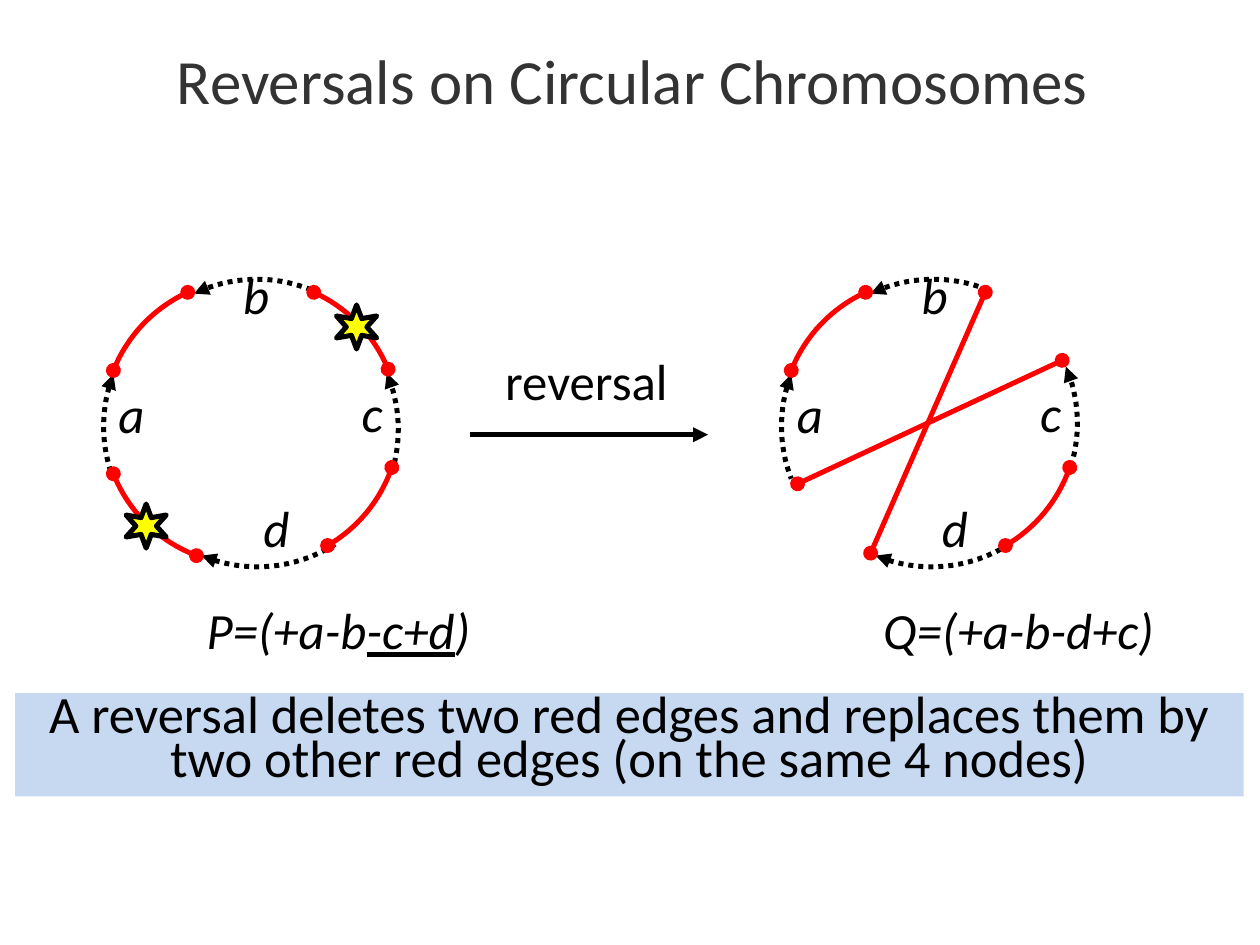
import math

from lxml import etree
from pptx import Presentation
from pptx.dml.color import RGBColor
from pptx.enum.dml import MSO_LINE
from pptx.enum.shapes import MSO_CONNECTOR, MSO_SHAPE
from pptx.enum.text import MSO_ANCHOR, PP_ALIGN
from pptx.oxml.ns import qn
from pptx.util import Inches, Pt

CENTER = PP_ALIGN.CENTER
TOP, MIDDLE = MSO_ANCHOR.TOP, MSO_ANCHOR.MIDDLE
STRAIGHT = MSO_CONNECTOR.STRAIGHT
STAR, RECTANGLE = MSO_SHAPE.STAR_6_POINT, MSO_SHAPE.RECTANGLE
DOTTED = MSO_LINE.ROUND_DOT

COLORS = {
    "title": "333333",
    "black": "000000",
    "red": "FF0000",
    "yellow": "FFFF00",
    "banner": "C6D9F1",
}
RGB = {name: RGBColor.from_string(value) for name, value in COLORS.items()}
ARC_RADIUS = 1.15
ARC_STEPS = 16

presentation = Presentation()
presentation.slide_width = Inches(10)
presentation.slide_height = Inches(7.5)
slide = presentation.slides.add_slide(presentation.slide_layouts[5])
shapes = slide.shapes


def style_line(shape, color, head=None, tail=None, dash=None):
    """Colour an open line, put markers on its ends and drop its shadow."""
    shape.line.color.rgb = RGB[color]
    shape.line.width = Pt(2.85)
    if dash:
        shape.line.dash_style = dash
    properties = shape._element.spPr
    line = properties.find(qn("a:ln"))
    for tag, marker in (("a:headEnd", head), ("a:tailEnd", tail)):
        if marker:
            etree.SubElement(line, qn(tag), type=marker)
    if properties.find(qn("a:effectLst")) is None:
        etree.SubElement(properties, qn("a:effectLst"))


def write(shape, runs, size, spacing, color="black", italic=False):
    """Fill the first paragraph with (text, underlined) runs."""
    paragraph = shape.text_frame.paragraphs[0]
    paragraph.line_spacing = spacing
    for text, underlined in runs:
        run = paragraph.add_run()
        run.text = text
        run.font.name = "Calibri"
        run.font.size = Pt(size)
        run.font.italic = italic
        run.font.color.rgb = RGB[color]
        if underlined:
            run.font.underline = True
    return paragraph


# Title
title = shapes.title
title.left, title.top, title.width, title.height = map(Inches, (0.04, 0, 9.96, 1.25))
frame = title.text_frame
frame.margin_left = frame.margin_right = frame.margin_top = frame.margin_bottom = 0
frame.vertical_anchor = MIDDLE
title_text = [("Reversals on Circular Chromosomes", False)]
write(title, title_text, 36, 1.02, "title").alignment = CENTER

# Arcs of both chromosomes, each running counterclockwise: start, end, kind
arcs = [
    # Chromosome P
    ((0.9, 2.97), (0.9, 3.8), "from"),
    ((2.47, 2.3), (1.54, 2.33), "to"),
    ((3.11, 3.75), (3.07, 2.96), "to"),
    ((1.6, 4.41), (2.66, 4.32), "from"),
    ((3.08, 2.93), (2.49, 2.32), "red"),
    ((1.49, 2.32), (0.9, 2.94), "red"),
    ((0.9, 3.76), (1.56, 4.41), "red"),
    ((2.6, 4.33), (3.11, 3.71), "red"),
    # Chromosome Q
    ((6.28, 2.97), (6.28, 3.8), "from"),
    ((7.84, 2.3), (6.91, 2.33), "to"),
    ((8.5, 3.7), (8.46, 2.91), "to"),
    ((6.95, 4.41), (8.01, 4.32), "from"),
    ((6.87, 2.32), (6.28, 2.94), "red"),
    ((7.98, 4.33), (8.49, 3.71), "red"),
]
arc_styles = {
    "from": ("black", "triangle", None, DOTTED),
    "to": ("black", None, "triangle", DOTTED),
    "red": ("red", "oval", "oval", None),
}
for (x1, y1), (x2, y2), kind in arcs:
    chord = math.hypot(x2 - x1, y2 - y1)
    offset = math.sqrt(ARC_RADIUS ** 2 - (chord / 2) ** 2) / chord
    center_x = (x1 + x2) / 2 + (y2 - y1) * offset
    center_y = (y1 + y2) / 2 - (x2 - x1) * offset
    first = math.atan2(y1 - center_y, x1 - center_x)
    sweep = -2 * math.asin(chord / 2 / ARC_RADIUS)
    angles = [first + sweep * step / ARC_STEPS for step in range(ARC_STEPS + 1)]
    points = [
        (Inches(center_x + ARC_RADIUS * math.cos(angle)),
         Inches(center_y + ARC_RADIUS * math.sin(angle)))
        for angle in angles
    ]
    builder = shapes.build_freeform(*points[0])
    builder.add_line_segments(points[1:], close=False)
    arc = builder.convert_to_shape()
    arc.fill.background()
    style_line(arc, *arc_styles[kind])

# Reversal arrow and the two new red edges
straight_lines = [
    ((3.73, 3.45), (5.62, 3.45), ("black", None, "triangle")),
    ((7.82, 2.32), (6.91, 4.39), ("red", "oval", "oval")),
    ((8.43, 2.86), (6.33, 3.84), ("red", "oval", "oval")),
]
for start, end, style in straight_lines:
    connector = shapes.add_connector(STRAIGHT, *map(Inches, start + end))
    style_line(connector, *style)

# Segment letters, formulas and the arrow label
labels = [
    (4.01, 2.91, 1.5, 0.45, [("reversal", False)], 0.69, False),
    (1.64, 4.91, 2.3, 0.5, [("P=(+a-b", False), ("-c+d", True), (")", False)], 0.64, True),
    (7.01, 4.91, 2.4, 0.5, [("Q=(+a-b-d+c)", False)], 0.64, True),
]
for circle_left in (0, 5.385):
    for letter, left, top, width, height in (
        ("a", 0.94, 3.2, 0.34, 0.64),
        ("b", 1.93, 2.25, 0.28, 0.55),
        ("c", 2.87, 3.19, 0.25, 0.4),
        ("d", 2.09, 4.1, 0.28, 0.48),
    ):
        labels.append((circle_left + left, top, width, height, [(letter, False)], 0.63, True))
for left, top, width, height, runs, spacing, italic in labels:
    box = shapes.add_textbox(Inches(left), Inches(top), Inches(width), Inches(height))
    frame = box.text_frame
    frame.margin_left = frame.margin_right = frame.margin_top = frame.margin_bottom = 0
    frame.word_wrap = False
    write(box, runs, 29, spacing, italic=italic)

# Stars on the deleted edges
for left, top in ((1, 4), (2.67, 2.42)):
    star = shapes.add_shape(STAR, Inches(left), Inches(top), Inches(0.32), Inches(0.35))
    star.adjustments[0] = 0.22
    star.shadow.inherit = False
    star.fill.solid()
    star.fill.fore_color.rgb = RGB["yellow"]
    star.line.color.rgb = RGB["black"]
    star.line.width = Pt(2.85)

# Conclusion banner
banner = shapes.add_shape(RECTANGLE, Inches(0.12), Inches(5.5), Inches(9.75), Inches(0.82))
banner.shadow.inherit = False
banner.fill.solid()
banner.fill.fore_color.rgb = RGB["banner"]
banner.line.fill.background()
banner.text_frame.word_wrap = True
banner.text_frame.vertical_anchor = TOP
conclusion = ("A reversal deletes two red edges and replaces them by "
              "two other red edges (on the same 4 nodes)")
write(banner, [(conclusion, False)], 30, 0.69).alignment = CENTER

presentation.save("out.pptx")
